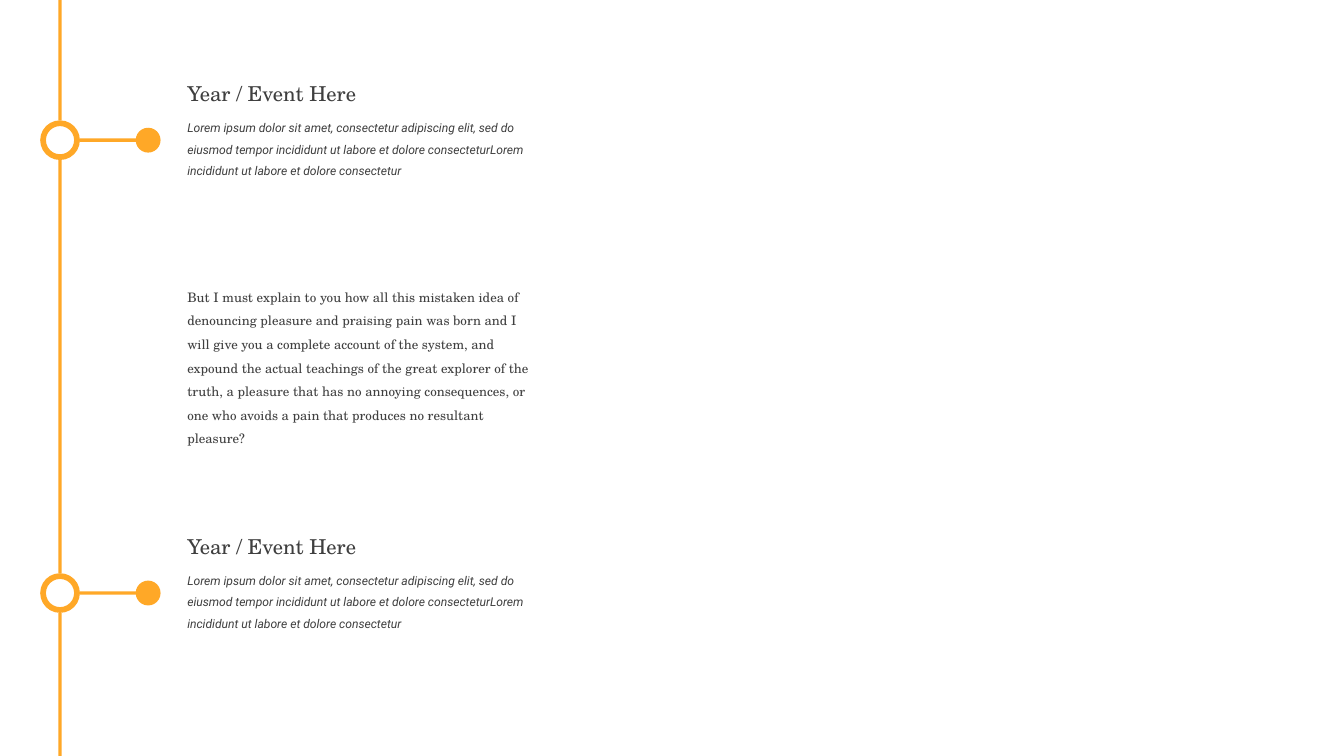
from dataclasses import dataclass

import pptx
import pptx.dml.color
import pptx.enum.shapes
import pptx.enum.text
import pptx.util
from pptx.util import Cm

COLORS = {"accent": "FFA827", "text": "3F3F3F", "page": "FFFFFF"}
SERIF, SANS = "TeX Gyre Schola", "Roboto"
Shape = pptx.enum.shapes.MSO_SHAPE

PAGE_WIDTH, PAGE_HEIGHT = 50.8, 28.58
AXIS_X = 2.27
LINE = 0.13
RING = 1.5
RING_BAND = 0.145
DISC = 0.94
DISC_X = 5.6
TEXT_LEFT = 6.83


@dataclass
class Event:
    center: float
    heading: str
    body: str


@dataclass
class TextStyle:
    font: str
    size: int
    spacing: float = 1.0
    italic: bool = False


HEADING = TextStyle(SERIF, 22)
DETAIL = TextStyle(SANS, 13, 1.5, True)
STORY = TextStyle(SERIF, 14, 1.5)

EVENT_HEADING = "Year / Event Here"
EVENT_BODY = (
    "Lorem ipsum dolor sit amet, consectetur adipiscing elit, sed do eiusmod "
    "tempor incididunt ut labore et dolore consecteturLorem incididunt ut "
    "labore et dolore consectetur"
)
EVENTS = [Event(center, EVENT_HEADING, EVENT_BODY) for center in (5.3, 22.42)]
STORY_TEXT = (
    "But I must explain to you how all this mistaken idea of denouncing "
    "pleasure and praising pain was born and I will give you a complete "
    "account of the system, and expound the actual teachings of the great "
    "explorer of the truth, a pleasure that has no annoying consequences, or "
    "one who avoids a pain that produces no resultant pleasure?"
)


def color(name: str) -> pptx.dml.color.RGBColor:
    return pptx.dml.color.RGBColor.from_string(COLORS[name])


def add_accent(page, kind, left: float, top: float, width: float, height: float):
    """Add a borderless shape in the accent colour."""
    shape = page.shapes.add_shape(kind, Cm(left), Cm(top), Cm(width), Cm(height))
    shape.shadow.inherit = False
    shape.fill.solid()
    shape.fill.fore_color.rgb = color("accent")
    shape.line.fill.background()
    return shape


def add_text(page, text: str, top: float, width: float, height: float,
             style: TextStyle) -> None:
    box = page.shapes.add_textbox(Cm(TEXT_LEFT), Cm(top), Cm(width), Cm(height))
    frame = box.text_frame
    frame.word_wrap = True
    frame.auto_size = pptx.enum.text.MSO_AUTO_SIZE.SHAPE_TO_FIT_TEXT
    frame.text = text
    para = frame.paragraphs[0]
    para.line_spacing = style.spacing
    font = para.runs[0].font
    font.name = style.font
    font.size = pptx.util.Pt(style.size)
    font.italic = style.italic
    font.color.rgb = color("text")


def add_axis(page, events: list[Event]) -> None:
    """Draw the vertical line in pieces that leave the rings open."""
    starts = [0] + [event.center + RING / 2 for event in events]
    ends = [event.center - RING / 2 for event in events] + [PAGE_HEIGHT]
    for start, end in zip(starts, ends):
        add_accent(page, Shape.RECTANGLE, AXIS_X - LINE / 2, start, LINE, end - start)


def add_event(page, event: Event) -> None:
    arm_left = AXIS_X + RING / 2 - 0.02
    add_accent(page, Shape.RECTANGLE, arm_left, event.center - LINE / 2,
               DISC_X - DISC / 2 - arm_left + 0.05, LINE)
    ring = add_accent(page, Shape.DONUT, AXIS_X - RING / 2,
                      event.center - RING / 2, RING, RING)
    ring.adjustments[0] = RING_BAND
    add_accent(page, Shape.OVAL, DISC_X - DISC / 2, event.center - DISC / 2, DISC, DISC)
    add_text(page, event.heading, event.center - 2.35, 7.72, 1.19, HEADING)
    add_text(page, event.body, event.center - 1.16, 14.2, 3.58, DETAIL)


def main() -> None:
    deck = pptx.Presentation()
    deck.slide_width, deck.slide_height = Cm(PAGE_WIDTH), Cm(PAGE_HEIGHT)
    page = deck.slides.add_slide(deck.slide_layouts.get_by_name("Blank"))
    page.background.fill.solid()
    page.background.fill.fore_color.rgb = color("page")
    add_axis(page, EVENTS)
    for event in EVENTS:
        add_event(page, event)
    add_text(page, STORY_TEXT, 10.52, 13.82, 6.53, STORY)
    deck.save("out.pptx")


if __name__ == "__main__":
    main()
